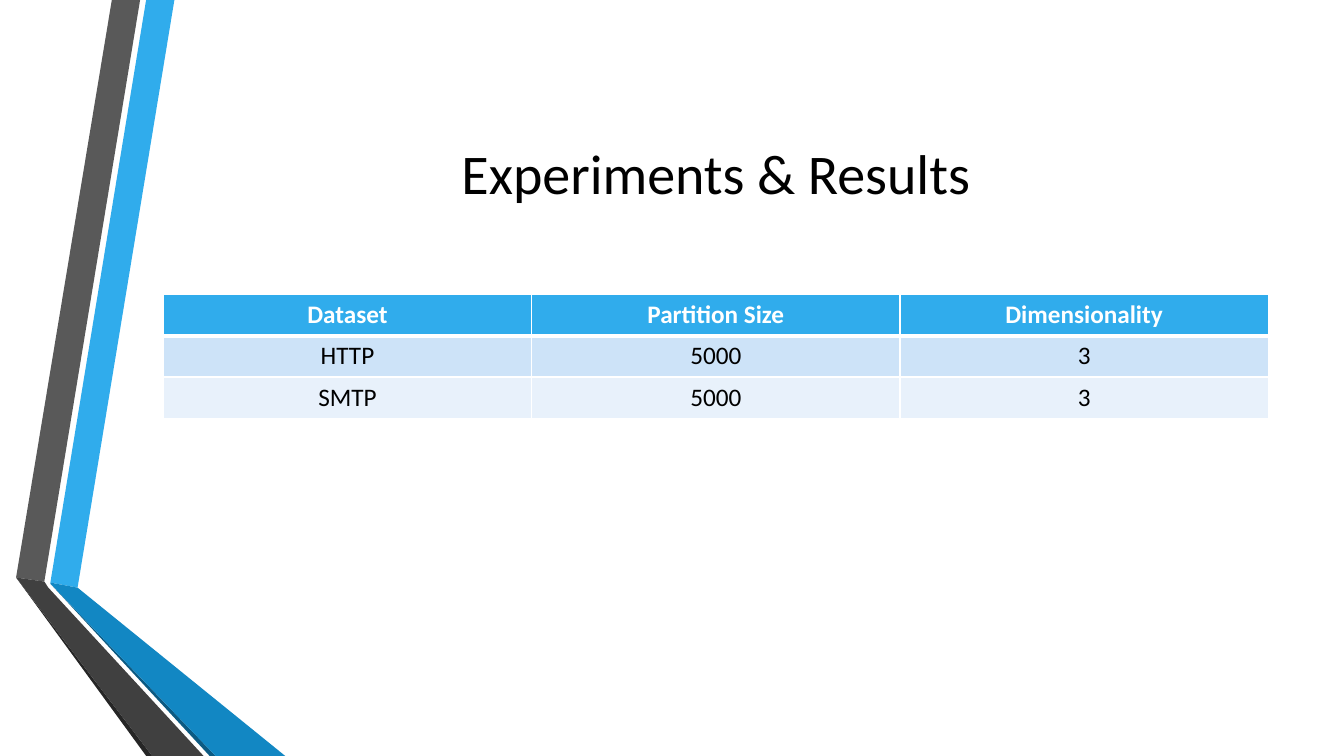
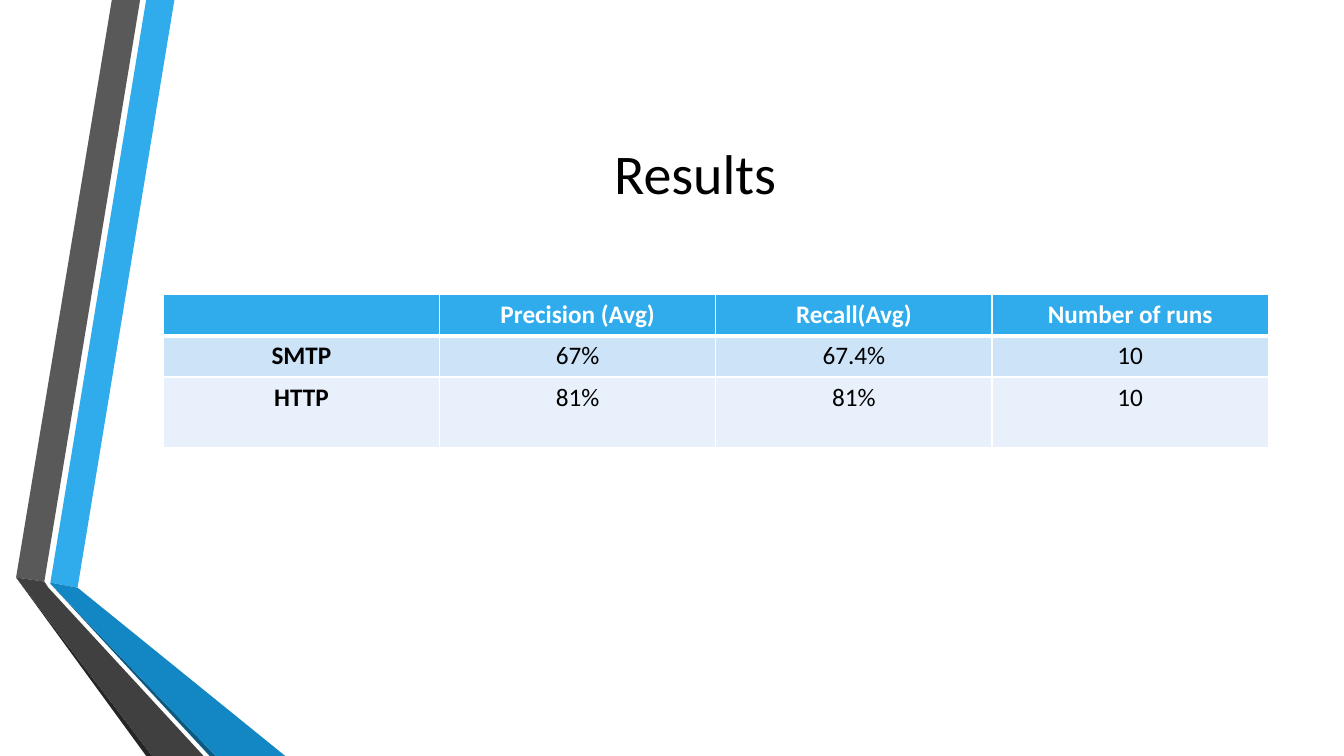
import lxml.etree
import pptx
import pptx.dml.color
import pptx.enum.text
import pptx.oxml.ns
import pptx.util

# Lengths are in px, 100 to the inch
PX = 9144
SLIDE_WIDTH, SLIDE_HEIGHT = 1333, 750
LEFT, CONTENT_WIDTH = 162, 1096
TITLE_TOP, TITLE_HEIGHT = 75, 192
TABLE_TOP, ROW_HEIGHT = 292, 41

WHITE, BLACK = "FFFFFF", "000000"
HEADER_BLUE = "30ACEC"
BAND_FILLS = ("CDE3F8", "E8F1FB")
TITLE_FONT = {"name": "Calibri", "size": pptx.util.Pt(40), "bold": False}
CELL_FONT = {"name": "Calibri", "size": pptx.util.Pt(18)}
TITLE_FRAME = {"word_wrap": True,
               "vertical_anchor": pptx.enum.text.MSO_ANCHOR.MIDDLE}

# Folded ribbons on the left edge: fill and outline, back to front
RIBBONS = (
    (HEADER_BLUE, ((50, 578), (77, 583), (173, 0), (145, 0))),
    ("595959", ((139, 0), (111, 0), (16, 573), (44, 577))),
    ("262626", ((16, 573), (145, 750), (151, 750))),
    ("0C5A82", ((50, 579), (208, 750), (214, 750))),
    ("1287C3", ((50, 579), (214, 750), (283, 750), (77, 583), (50, 578))),
    ("404040", ((202, 750), (48, 583), (44, 577), (16, 573), (151, 750))),
)


def px(length):
    return pptx.util.Emu(length * PX)


def color(hex_value):
    return pptx.dml.color.RGBColor.from_string(hex_value)


def set_format(target, values):
    for name, value in values.items():
        setattr(target, name, value)


def paint(target, hex_value):
    target.fill.solid()
    target.fill.fore_color.rgb = color(hex_value)


def write_centred(para, text, font, hex_value):
    para.alignment = pptx.enum.text.PP_ALIGN.CENTER
    if text:
        span = para.add_run()
        span.text = text
        set_format(span.font, font)
        span.font.color.rgb = color(hex_value)


def move_ribbons_to_layout(page):
    """Draw the ribbons once and hand them to the layout all pages share."""
    layout_tree = page.slide_layout.shapes.element
    for number, (fill, points) in enumerate(RIBBONS):
        builder = page.shapes.build_freeform(*points[0], scale=PX)
        builder.add_line_segments(points[1:], close=True)
        ribbon = builder.convert_to_shape()
        paint(ribbon, fill)
        ribbon.line.fill.background()
        ribbon.shadow.inherit = False
        ribbon.element.nvSpPr.cNvPr.set("id", str(100 + number))
        layout_tree.insert(2 + number, ribbon.element)


def add_title(page, text, right_inset):
    title = page.shapes.title
    set_format(title, {"left": px(LEFT), "top": px(TITLE_TOP),
                       "width": px(CONTENT_WIDTH), "height": px(TITLE_HEIGHT)})
    set_format(title.text_frame, TITLE_FRAME)
    title.text_frame.margin_right = px(right_inset)
    write_centred(title.text_frame.paragraphs[0], text, TITLE_FONT, BLACK)


def set_borders(cell, widths):
    """Give the cell white borders; widths maps L, R, T, B to points."""
    properties = cell._tc.get_or_add_tcPr()
    for position, side in enumerate("LRTB"):
        border = lxml.etree.Element(pptx.oxml.ns.qn("a:ln" + side))
        border.set("w", str(pptx.util.Pt(widths.get(side, 1))))
        fill = lxml.etree.SubElement(border, pptx.oxml.ns.qn("a:solidFill"))
        lxml.etree.SubElement(fill, pptx.oxml.ns.qn("a:srgbClr"), val=WHITE)
        properties.insert(position, border)


def add_table(page, rows, row_heights, bold_first_column):
    columns = len(rows[0])
    table = page.shapes.add_table(
        len(rows), columns, px(LEFT), px(TABLE_TOP),
        px(CONTENT_WIDTH), px(sum(row_heights))).table
    table.horz_banding = False
    for column in table.columns:
        column.width = px(CONTENT_WIDTH) // columns
    for row_index, texts in enumerate(rows):
        table.rows[row_index].height = px(row_heights[row_index])
        header = row_index == 0
        fill = HEADER_BLUE if header else BAND_FILLS[(row_index - 1) % 2]
        # A thick rule parts the header from the first data row
        borders = {0: {"B": 3}, 1: {"T": 3}}.get(row_index, {})
        for column_index, text in enumerate(texts):
            cell = table.cell(row_index, column_index)
            bold = header or (bold_first_column and column_index == 0)
            paint(cell, fill)
            set_borders(cell, borders)
            write_centred(cell.text_frame.paragraphs[0], text,
                          {**CELL_FONT, "bold": bold},
                          WHITE if header else BLACK)


def main():
    deck = pptx.Presentation()
    deck.slide_width, deck.slide_height = px(SLIDE_WIDTH), px(SLIDE_HEIGHT)
    title_only = deck.slide_layouts[5]

    # Datasets
    page = deck.slides.add_slide(title_only)
    move_ribbons_to_layout(page)
    add_title(page, "Experiments & Results", right_inset=10)
    add_table(page, (
        ("Dataset", "Partition Size", "Dimensionality"),
        ("HTTP", "5000", "3"),
        ("SMTP", "5000", "3"),
    ), (ROW_HEIGHT,) * 3, bold_first_column=False)

    # Scores
    page = deck.slides.add_slide(title_only)
    add_title(page, "Results", right_inset=51)
    add_table(page, (
        ("", "Precision (Avg)", "Recall(Avg)", "Number of runs"),
        ("SMTP", "67%", "67.4%", "10"),
        ("HTTP", "81%", "81%", "10"),
    ), (ROW_HEIGHT, ROW_HEIGHT, 70), bold_first_column=True)

    deck.save("out.pptx")


if __name__ == "__main__":
    main()
